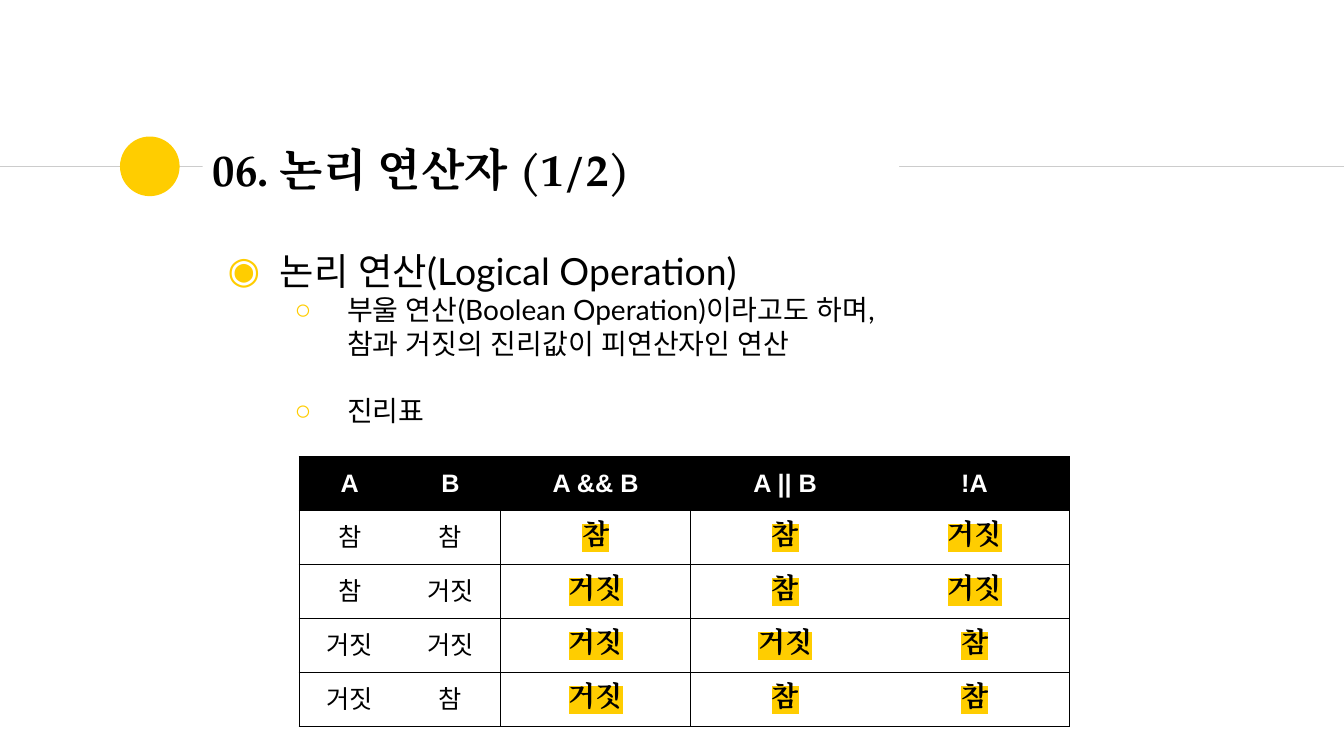
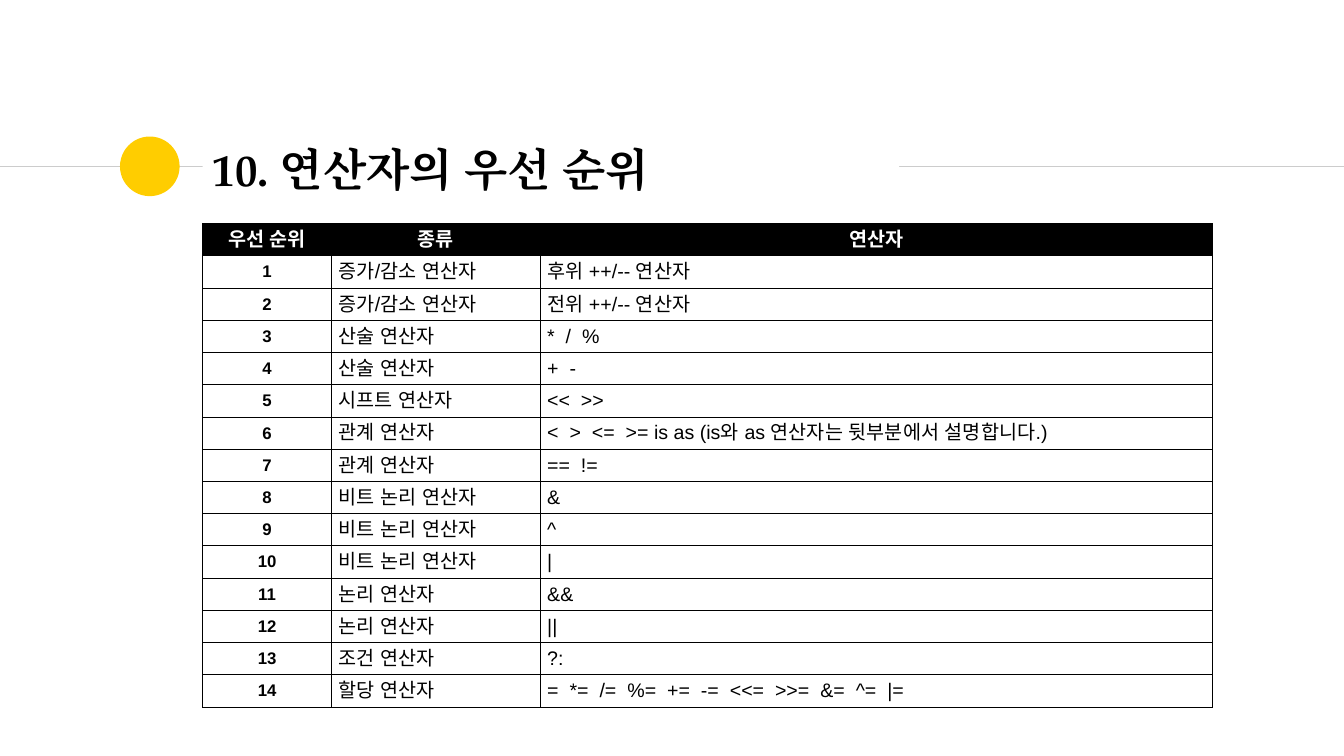
import copy
from dataclasses import dataclass

import pptx
import pptx.dml.color
import pptx.enum.shapes
import pptx.enum.text
import pptx.oxml
import pptx.oxml.ns
import pptx.util

Pt = pptx.util.Pt
qn = pptx.oxml.ns.qn
ALIGN = pptx.enum.text.PP_ALIGN
MIDDLE = pptx.enum.text.MSO_ANCHOR.MIDDLE

BLACK, WHITE, YELLOW, GRAY = "000000", "FFFFFF", "FFCD00", "CCCCCC"
SERIF, SANS, BODY = "TeX Gyre Pagella", "Arial", "Lato"
LEFT = 144.7
RULE_Y = 118.8
DOT_LEFT, DOT_SIZE = 85.7, 42.6


@dataclass(frozen=True)
class Style:
    size: float
    font: str = SANS
    bold: bool = False
    color: str = BLACK
    align: ALIGN = ALIGN.CENTER
    highlight: str = ""


@dataclass(frozen=True)
class Bullet:
    text: str
    size: float
    level: int = 0
    before: float = 0


@dataclass(frozen=True)
class Grid:
    left: float
    top: float
    row_height: float
    widths: tuple[float, ...]
    edges: tuple[float, ...]  # vertical line widths, 0 for none
    header: Style
    columns: tuple[Style, ...]
    rows: list[tuple[str, ...]]


TITLE = Style(32, SERIF, True, align=ALIGN.LEFT)
INPUT = Style(18)
RESULT = Style(20, SERIF, True, highlight=YELLOW)
ENTRY = Style(14, align=ALIGN.JUSTIFY)

BULLETS = [
    Bullet("논리 연산(Logical Operation)", 26.7, before=8),
    Bullet("부울 연산(Boolean Operation)이라고도 하며,\n참과 거짓의 진리값이 피연산자인 연산", 20, 1),
    Bullet("진리표", 20, 1, before=24),
]

TRUTH_TABLE = Grid(
    213.8, 326.2, 38.6, (72, 72, 135.35, 135.35, 135.35), (1, 0, 1, 1, 0.75)[:3] + (1, 0, 0.75),
    Style(18, bold=True, color=WHITE), (INPUT,) * 2 + (RESULT,) * 3,
    [
        ("A", "B", "A && B", "A || B", "!A"),
        ("참", "참", "참", "참", "거짓"),
        ("참", "거짓", "거짓", "참", "거짓"),
        ("거짓", "거짓", "거짓", "거짓", "참"),
        ("거짓", "참", "거짓", "참", "참"),
    ],
)

OPERATORS = [
    ("증가/감소 연산자", "후위 ++/-- 연산자"),
    ("증가/감소 연산자", "전위 ++/-- 연산자"),
    ("산술 연산자", "*  /  %"),
    ("산술 연산자", "+  -"),
    ("시프트 연산자", "<<  >>"),
    ("관계 연산자", "<  >  <=  >= is as (is와 as 연산자는 뒷부분에서 설명합니다.)"),
    ("관계 연산자", "==  !="),
    ("비트 논리 연산자", "&"),
    ("비트 논리 연산자", "^"),
    ("비트 논리 연산자", "|"),
    ("논리 연산자", "&&"),
    ("논리 연산자", "||"),
    ("조건 연산자", "?:"),
    ("할당 연산자", "=  *=  /=  %=  +=  -=  <<=  >>=  &=  ^=  |="),
]

PRIORITY_TABLE = Grid(
    LEFT, 159.8, 23.04, (92.2, 149, 480.2), (0.75,) * 4,
    Style(14, bold=True, color=WHITE), (Style(12, bold=True), ENTRY, ENTRY),
    [("우선 순위", "종류", "연산자")]
    + [(str(i), kind, signs) for i, (kind, signs) in enumerate(OPERATORS, 1)],
)


def rgb(color: str) -> pptx.dml.color.RGBColor:
    return pptx.dml.color.RGBColor.from_string(color)


def element(tag: str, **attributes: str):
    el = pptx.oxml.parse_xml(f"<{tag} {pptx.oxml.ns.nsdecls('a')}/>")
    for name, value in attributes.items():
        el.set(name, value)
    return el


def format_text(p, style: Style) -> None:
    p.alignment = style.align
    for r in p.runs:
        r.font.size = Pt(style.size)
        r.font.bold = style.bold
        r.font.color.rgb = rgb(style.color)
        r.font.name = style.font
        props = r.font._element
        props.find(qn("a:latin")).addnext(element("a:ea", typeface=style.font))
        if style.highlight:
            mark = element("a:highlight")
            mark.append(element("a:srgbClr", val=style.highlight))
            props.find(qn("a:solidFill")).addnext(mark)
    # Line breaks keep the size of the text around them
    for br in p._p.findall(qn("a:br")):
        br.append(copy.deepcopy(p.runs[0].font._element))


def place(sp, left: float, top: float, width: float, height: float) -> None:
    sp.left, sp.top, sp.width, sp.height = Pt(left), Pt(top), Pt(width), Pt(height)


def add_master_band(prs, slide) -> None:
    """Draw the rule and the dot, then move them to the slide master."""
    rule = slide.shapes.add_connector(
        pptx.enum.shapes.MSO_CONNECTOR.STRAIGHT, 0, Pt(RULE_Y), prs.slide_width, Pt(RULE_Y))
    rule.line.color.rgb = rgb(GRAY)
    rule.line.width = Pt(0.75)
    rule.element.spPr.append(element("a:effectLst"))
    dot = slide.shapes.add_shape(
        pptx.enum.shapes.MSO_SHAPE.OVAL, Pt(DOT_LEFT), Pt(RULE_Y - DOT_SIZE / 2),
        Pt(DOT_SIZE), Pt(DOT_SIZE))
    dot.shadow.inherit = False
    dot.fill.solid()
    dot.fill.fore_color.rgb = rgb(YELLOW)
    dot.line.fill.background()
    for i, sp in enumerate((rule, dot)):
        sp.element.xpath(".//p:cNvPr")[0].set("id", str(100 + i))
        prs.slide_master.shapes.element.append(sp.element)


def add_slide(prs, layout: int, title: str):
    slide = prs.slides.add_slide(prs.slide_layouts[layout])
    sp = slide.shapes.title
    place(sp, LEFT, 97.2, 497.5, 46)
    sp.fill.solid()
    sp.fill.fore_color.rgb = rgb(WHITE)
    tf = sp.text_frame
    tf.text = title
    tf.auto_size = pptx.enum.text.MSO_AUTO_SIZE.NONE
    tf.vertical_anchor = MIDDLE
    tf.margin_left = tf.margin_right = tf.margin_top = tf.margin_bottom = Pt(7.2)
    format_text(tf.paragraphs[0], TITLE)
    return slide


def fill_body(sp, bullets: list[Bullet]) -> None:
    place(sp, LEFT, 169.9, 732.2, 339.1)
    tf = sp.text_frame
    tf.auto_size = pptx.enum.text.MSO_AUTO_SIZE.NONE
    tf.margin_left = tf.margin_right = tf.margin_top = tf.margin_bottom = Pt(7.2)
    for i, bullet in enumerate(bullets):
        p = tf.add_paragraph() if i else tf.paragraphs[0]
        p.text = bullet.text
        p.level = bullet.level
        p.space_before = Pt(bullet.before)
        format_text(p, Style(bullet.size, BODY, align=ALIGN.LEFT))
        # Hanging indent and coloured bullet
        props = p._p.get_or_add_pPr()
        props.set("marL", str(Pt(48 * (bullet.level + 1))))
        props.set("indent", str(Pt(-37.4)))
        color = element("a:buClr")
        color.append(element("a:srgbClr", val=YELLOW))
        props.append(color)
        props.append(element("a:buChar", char="◉○"[bullet.level]))


def set_borders(cell, left: float, right: float, level: float = 0.75) -> None:
    props = cell._tc.get_or_add_tcPr()
    sides = {"L": left, "R": right, "T": level, "B": level}
    for i, (side, width) in enumerate(sides.items()):
        line = element(f"a:ln{side}", w=str(Pt(width)))
        paint = element("a:solidFill" if width else "a:noFill")
        if width:
            paint.append(element("a:srgbClr", val=BLACK))
        line.append(paint)
        props.insert(i, line)


def add_grid(slide, grid: Grid) -> None:
    n = len(grid.rows)
    table = slide.shapes.add_table(
        n, len(grid.widths), Pt(grid.left), Pt(grid.top),
        Pt(sum(grid.widths)), Pt(n * grid.row_height)).table
    table.horz_banding = False
    for column, width in zip(table.columns, grid.widths):
        column.width = Pt(width)
    for i, row in enumerate(grid.rows):
        table.rows[i].height = Pt(grid.row_height)
        for j, text in enumerate(row):
            cell = table.cell(i, j)
            if i == 0:
                cell.fill.solid()
                cell.fill.fore_color.rgb = rgb(BLACK)
            else:
                cell.fill.background()
            cell.vertical_anchor = MIDDLE
            cell.margin_left = cell.margin_right = Pt(5)
            cell.margin_top = cell.margin_bottom = 0
            set_borders(cell, grid.edges[j], grid.edges[j + 1])
            p = cell.text_frame.paragraphs[0]
            p.text = text
            format_text(p, grid.columns[j] if i else grid.header)


def main() -> None:
    prs = pptx.Presentation()
    prs.slide_width, prs.slide_height = Pt(960), Pt(540)

    # Logical operators
    slide = add_slide(prs, 1, "06. 논리 연산자 (1/2)")
    add_master_band(prs, slide)
    fill_body(slide.placeholders[1], BULLETS)
    add_grid(slide, TRUTH_TABLE)

    # Operator priority
    slide = add_slide(prs, 5, "10. 연산자의 우선 순위")
    add_grid(slide, PRIORITY_TABLE)

    prs.save("out.pptx")


if __name__ == "__main__":
    main()
